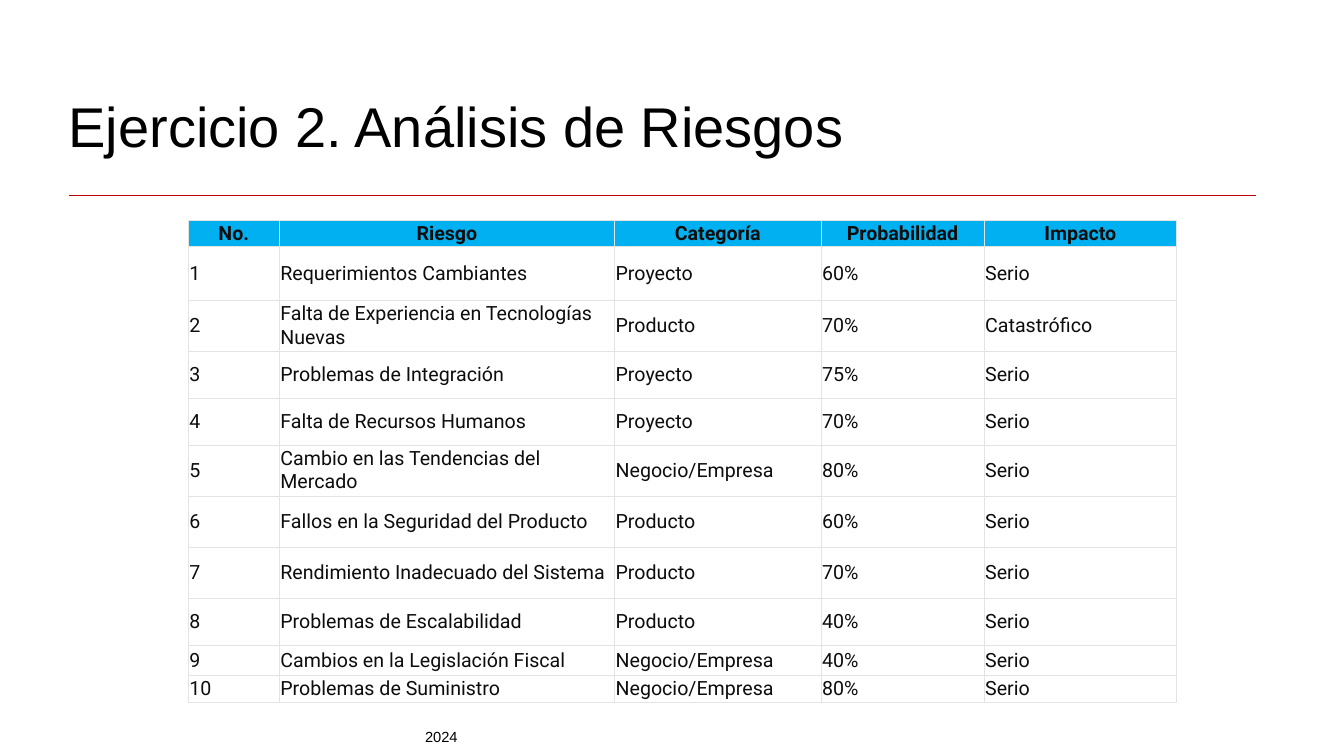
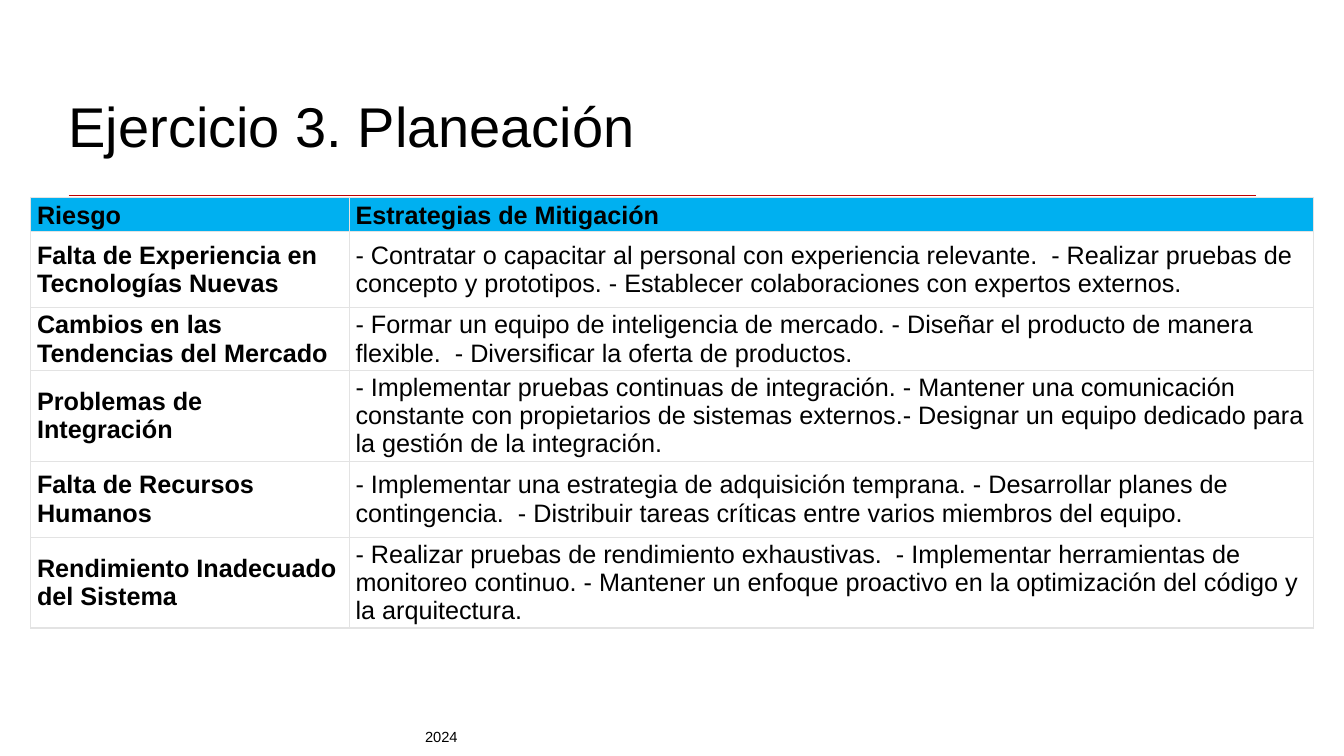
from dataclasses import dataclass

from lxml import etree
from pptx import Presentation
from pptx.dml.color import RGBColor
from pptx.enum.shapes import MSO_CONNECTOR
from pptx.enum.text import MSO_ANCHOR, PP_ALIGN
from pptx.oxml.ns import qn
from pptx.util import Pt

STRAIGHT = MSO_CONNECTOR.STRAIGHT
TOP, MIDDLE, BOTTOM = MSO_ANCHOR.TOP, MSO_ANCHOR.MIDDLE, MSO_ANCHOR.BOTTOM
LEFT, CENTER = PP_ALIGN.LEFT, PP_ALIGN.CENTER

COLORS = {
    "text": "000000",
    "risk_text": "0D0D0D",
    "rule": "BF0000",
    "header": "00B0F0",
    "body": "FFFFFF",
    "border": "E3E3E3",
}
FONT = "Arial"
TITLE_BOX = (49, 65.5, 851, 48)
RULE_BOX = (49, 139.7, 848, 0)
YEAR_BOX = (296.6, 516.2, 64.8, 20.2)

RISKS = [
    ("No.", "Riesgo", "Categoría", "Probabilidad", "Impacto"),
    ("1", "Requerimientos Cambiantes", "Proyecto", "60%", "Serio"),
    ("2", "Falta de Experiencia en Tecnologías Nuevas", "Producto", "70%", "Catastrófico"),
    ("3", "Problemas de Integración", "Proyecto", "75%", "Serio"),
    ("4", "Falta de Recursos Humanos", "Proyecto", "70%", "Serio"),
    ("5", "Cambio en las Tendencias del Mercado", "Negocio/Empresa", "80%", "Serio"),
    ("6", "Fallos en la Seguridad del Producto", "Producto", "60%", "Serio"),
    ("7", "Rendimiento Inadecuado del Sistema", "Producto", "70%", "Serio"),
    ("8", "Problemas de Escalabilidad", "Producto", "40%", "Serio"),
    ("9", "Cambios en la Legislación Fiscal", "Negocio/Empresa", "40%", "Serio"),
    ("10", "Problemas de Suministro", "Negocio/Empresa", "80%", "Serio"),
]
STRATEGIES = [
    ("Riesgo", "Estrategias de Mitigación"),
    ("Falta de Experiencia en Tecnologías Nuevas",
     "- Contratar o capacitar al personal con experiencia relevante.  - Realizar pruebas de "
     "concepto y prototipos. - Establecer colaboraciones con expertos externos."),
    ("Cambios en las Tendencias del Mercado",
     "- Formar un equipo de inteligencia de mercado. - Diseñar el producto de manera "
     "flexible.  - Diversificar la oferta de productos."),
    ("Problemas de Integración",
     "- Implementar pruebas continuas de integración. - Mantener una comunicación "
     "constante con propietarios de sistemas externos.- Designar un equipo dedicado para "
     "la gestión de la integración."),
    ("Falta de Recursos Humanos",
     "- Implementar una estrategia de adquisición temprana. - Desarrollar planes de "
     "contingencia.  - Distribuir tareas críticas entre varios miembros del equipo."),
    ("Rendimiento Inadecuado del Sistema",
     "- Realizar pruebas de rendimiento exhaustivas.  - Implementar herramientas de "
     "monitoreo continuo. - Mantener un enfoque proactivo en la optimización del código y "
     "la arquitectura."),
]


@dataclass
class TableStyle:
    font: str
    size: float
    color: str
    header_margins: tuple
    body_margins: tuple
    side_border: float
    level_border: float
    header_align: PP_ALIGN = LEFT
    bold_first_column: bool = False


RISK_STYLE = TableStyle(FONT.replace(FONT, "Roboto"), 14, "risk_text", (0.75, 0.75),
                        (0.75, 0.75), 0.94, 0.94, header_align=CENTER)
STRATEGY_STYLE = TableStyle(FONT, 18, "text", (4.5, 1.5), (4.5, 0), 0.75, 1,
                            bold_first_column=True)


def rgb(name):
    return RGBColor.from_string(COLORS[name])


def write(frame, words, font, size, color, bold=False, align=LEFT):
    paragraph = frame.paragraphs[0]
    paragraph.alignment = align
    run = paragraph.add_run()
    run.text = words
    run.font.name = font
    run.font.size = Pt(size)
    run.font.bold = bold
    run.font.color.rgb = rgb(color)


def set_margins(target, across, down):
    target.margin_left = target.margin_right = Pt(across)
    target.margin_top = target.margin_bottom = Pt(down)


def add_label(slide, box, words, size, anchor=TOP, margins=(0, 0)):
    frame = slide.shapes.add_textbox(*map(Pt, box)).text_frame
    frame.word_wrap = True
    frame.vertical_anchor = anchor
    set_margins(frame, *margins)
    write(frame, words, FONT, size, "text")


def add_rule(slide, box):
    left, top, width, height = box
    rule = slide.shapes.add_connector(
        STRAIGHT, Pt(left), Pt(top), Pt(left + width), Pt(top + height))
    rule.line.color.rgb = rgb("rule")
    rule.line.width = Pt(0.75)
    etree.SubElement(rule._element.spPr, qn("a:effectLst"))


def add_borders(cell, style):
    properties = cell._tc.get_or_add_tcPr()
    widths = {"lnL": style.side_border, "lnR": style.side_border,
              "lnT": style.level_border, "lnB": style.level_border}
    for edge, width in widths.items():
        line = etree.SubElement(properties, qn(f"a:{edge}"), w=str(int(Pt(width))))
        fill = etree.SubElement(line, qn("a:solidFill"))
        etree.SubElement(fill, qn("a:srgbClr"), val=COLORS["border"])


def fill_cell(cell, words, style, is_header, is_bold):
    add_borders(cell, style)
    cell.fill.solid()
    cell.fill.fore_color.rgb = rgb("header" if is_header else "body")
    cell.vertical_anchor = BOTTOM if is_header else MIDDLE
    set_margins(cell, *(style.header_margins if is_header else style.body_margins))
    write(cell.text_frame, words, style.font, style.size, style.color, is_bold,
          style.header_align if is_header else LEFT)


def add_grid(slide, corner, widths, heights, rows, style):
    box = (*corner, sum(widths), sum(heights))
    table = slide.shapes.add_table(len(rows), len(widths), *map(Pt, box)).table
    table.first_row = table.horz_banding = False
    for column, width in zip(table.columns, widths):
        column.width = Pt(width)
    for row, height in zip(table.rows, heights):
        row.height = Pt(height)
    for r, entries in enumerate(rows):
        for c, words in enumerate(entries):
            is_bold = r == 0 or (c == 0 and style.bold_first_column)
            fill_cell(table.cell(r, c), words, style, r == 0, is_bold)


def add_exercise(deck, title):
    slide = deck.slides.add_slide(deck.slide_layouts[6])
    add_rule(slide, RULE_BOX)
    add_label(slide, YEAR_BOX, "2024", 10.5, margins=(7.2, 3.6))
    add_label(slide, TITLE_BOX, title, 40, anchor=MIDDLE)
    return slide


def main():
    deck = Presentation()
    deck.slide_width, deck.slide_height = Pt(960), Pt(540)

    analysis = add_exercise(deck, "Ejercicio 2. Análisis de Riesgos")
    add_grid(analysis, (134.5, 157.5), (65, 239.5, 147.5, 116.5, 137.5),
             (18.5, 38.5, 36.5, 33.5, 33.5, 36.5, 36.5, 36.5, 33.5, 21.7, 19),
             RISKS, RISK_STYLE)

    planning = add_exercise(deck, "Ejercicio 3. Planeación")
    add_grid(planning, (22, 141), (227.5, 688.5), (24.5, 54.3, 44.8, 64.8, 54.3, 64.8),
             STRATEGIES, STRATEGY_STYLE)

    deck.save("out.pptx")


if __name__ == "__main__":
    main()
